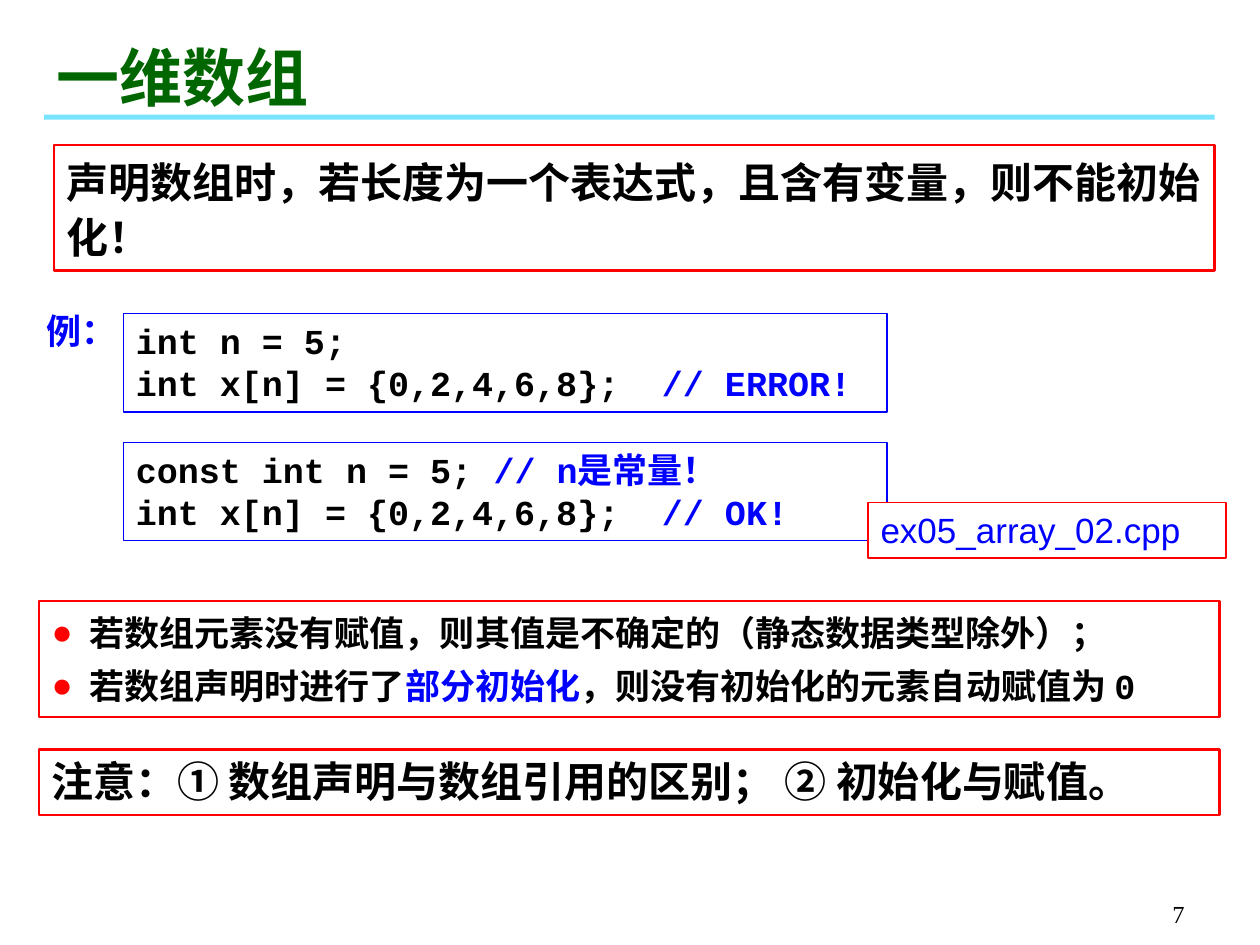
from dataclasses import dataclass
from typing import Optional

from lxml.etree import SubElement
from pptx import Presentation
from pptx.dml.color import RGBColor
from pptx.enum.lang import MSO_LANGUAGE_ID
from pptx.enum.shapes import MSO_SHAPE
from pptx.enum.text import MSO_ANCHOR, MSO_AUTO_SIZE, PP_ALIGN
from pptx.oxml.ns import qn
from pptx.util import Inches, Pt

COLORS = {"black": "000000", "blue": "0000FF", "red": "FF0000",
          "green": "006600", "cyan": "00CCFF", "white": "FFFFFF"}
CODE, SERIF, SANS, SYMBOL = "Courier New", "Times New Roman", "Arial", "Roboto"


@dataclass
class Span:
    """A stretch of text in one colour, optionally in its own font."""
    text: str
    color: str = "black"
    font: Optional[str] = None


@dataclass
class TextStyle:
    """Format shared by all paragraphs of one text."""
    size: int
    font: str = CODE
    bold: bool = True
    align: PP_ALIGN = PP_ALIGN.LEFT
    anchor: MSO_ANCHOR = MSO_ANCHOR.TOP
    line_spacing: float = 1.0
    space_after: float = 0


@dataclass
class Box:
    """A framed text with its place in inches."""
    place: tuple
    line: str
    line_width: float
    style: TextStyle
    paragraphs: list
    fill: Optional[str] = None


def rgb(name: str) -> RGBColor:
    """Look up a named colour."""
    return RGBColor.from_string(COLORS[name])


def apply(target, values: dict) -> None:
    """Set every attribute in values on the target."""
    for attribute, value in values.items():
        setattr(target, attribute, value)


def move(shape, place: tuple) -> None:
    """Put a shape at left, top, width, height in inches."""
    apply(shape, dict(zip(("left", "top", "width", "height"), map(Inches, place))))


def write(shape, paragraphs: list, style: TextStyle) -> None:
    """Fill a shape with paragraphs, each a list of spans."""
    frame = shape.text_frame
    apply(frame, {"word_wrap": True, "auto_size": MSO_AUTO_SIZE.NONE,
                  "vertical_anchor": style.anchor})
    for index, spans in enumerate(paragraphs):
        paragraph = frame.add_paragraph() if index else frame.paragraphs[0]
        apply(paragraph, {"alignment": style.align, "line_spacing": style.line_spacing,
                          "space_before": Pt(0), "space_after": Pt(style.space_after)})
        for span in spans:
            run = paragraph.add_run()
            run.text = span.text
            apply(run.font, {"name": span.font or style.font, "size": Pt(style.size),
                             "bold": style.bold,
                             "language_id": MSO_LANGUAGE_ID.SIMPLIFIED_CHINESE})
            run.font.color.rgb = rgb(span.color)


def outline(shape, color: str, width: float) -> None:
    """Give a shape its coloured frame."""
    shape.line.color.rgb = rgb(color)
    shape.line.width = Pt(width)


def add_bullets(shape, color: str, indent: float) -> None:
    """Set round coloured bullets with a hanging indent."""
    for paragraph in shape.text_frame.paragraphs:
        properties = paragraph._p.get_or_add_pPr()
        properties.set("marL", str(Inches(indent)))
        properties.set("indent", str(-Inches(indent)))
        bullet_color = SubElement(properties, qn("a:buClr"))
        SubElement(bullet_color, qn("a:srgbClr"), val=COLORS[color])
        SubElement(properties, qn("a:buFont"), typeface=SANS)
        SubElement(properties, qn("a:buChar"), char="●")


def add_box(slide, box: Box) -> None:
    """Draw a framed text."""
    frame = slide.shapes.add_shape(MSO_SHAPE.RECTANGLE, *map(Inches, box.place))
    frame.shadow.inherit = False
    if box.fill:
        frame.fill.solid()
        frame.fill.fore_color.rgb = rgb(box.fill)
    else:
        frame.fill.background()
    outline(frame, box.line, box.line_width)
    write(frame, box.paragraphs, box.style)


def add_label(slide, place: tuple, span: Span, style: TextStyle) -> None:
    """Add a text without a frame."""
    label = slide.shapes.add_textbox(*map(Inches, place))
    write(label, [[span]], style)


def add_title_rule(slide, place: tuple, opacity: int) -> None:
    """Draw the translucent bar under the title."""
    rule = slide.shapes.add_shape(MSO_SHAPE.RECTANGLE, *map(Inches, place))
    rule.shadow.inherit = False
    rule.line.fill.background()
    rule.fill.solid()
    rule.fill.fore_color.rgb = rgb("cyan")
    tint = rule._element.spPr.find(qn("a:solidFill")).find(qn("a:srgbClr"))
    SubElement(tint, qn("a:alpha"), val=str(opacity * 1000))


body = TextStyle(20)
large = TextStyle(24)
initializer = Span("int x[n] = {0,2,4,6,8};  ")
examples = [
    [[Span("int n = 5;")], [initializer, Span("// ERROR!", "blue")]],
    [[Span("const int n = 5; "), Span("// n是常量！", "blue")],
     [initializer, Span("// OK!", "blue")]],
]
boxes = [
    Box((0.43, 1.15, 9.21, 1), "red", 1.5,
        TextStyle(24, line_spacing=1.1, space_after=4.8),
        [[Span("声明数组时，若长度为一个表达式，且含有变量，则不能初始化！")]]),
    *(Box((0.98, 2.49 + 1.02 * row, 6.06, 0.78), "blue", 0.75, body, code)
      for row, code in enumerate(examples)),
    Box((6.89, 3.99, 2.84, 0.44), "red", 0.75, TextStyle(20, SANS, bold=False),
        [[Span("ex05_array_02.cpp", "blue")]], fill="white"),
    Box((0.31, 5.95, 9.37, 0.52), "red", 1.5, large,
        [[Span("注意："), Span("① ", font=SYMBOL), Span("数组声明与数组引用的区别； "),
          Span("② ", font=SYMBOL), Span("初始化与赋值。")]]),
]
rules = [
    [Span("若数组元素没有赋值，则其值是不确定的（静态数据类型除外）；")],
    [Span("若数组声明时进行了"), Span("部分初始化", "blue"),
     Span("，则没有初始化的元素自动赋值为 0")],
]

presentation = Presentation()
apply(presentation, {"slide_width": Inches(10), "slide_height": Inches(7.5)})
slide = presentation.slides.add_slide(presentation.slide_layouts[1])

add_title_rule(slide, (0.35, 0.91, 9.29, 0.04), opacity=53)
title = slide.shapes.title
move(title, (0.35, 0.26, 7.83, 0.7))
write(title, [[Span("一维数组", "green")]],
      TextStyle(36, SERIF, anchor=MSO_ANCHOR.BOTTOM))

value_rules = slide.placeholders[1]
move(value_rules, (0.31, 4.77, 9.37, 0.92))
outline(value_rules, "red", 1.5)
write(value_rules, rules, TextStyle(20, line_spacing=1.1, space_after=4))
add_bullets(value_rules, "red", indent=0.3)

add_label(slide, (0.27, 2.41, 1.1, 0.44), Span("例：", "blue"), body)
for box in boxes:
    add_box(slide, box)
add_label(slide, (7.42, 6.92, 2.08, 0.5), Span("7"),
          TextStyle(14, SERIF, bold=False, align=PP_ALIGN.RIGHT, anchor=MSO_ANCHOR.BOTTOM))

presentation.save("out.pptx")
